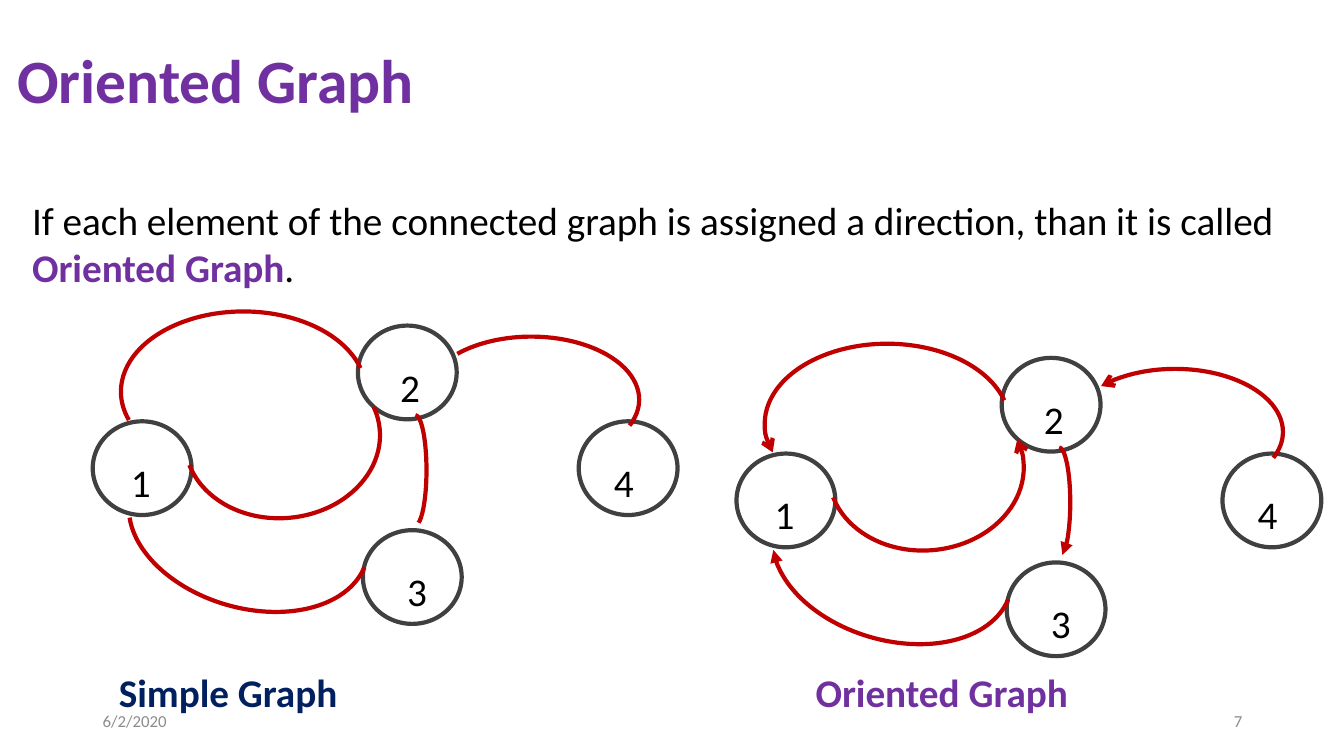
from pptx import Presentation
from pptx.dml.color import RGBColor
from pptx.enum.shapes import MSO_SHAPE
from pptx.enum.text import MSO_ANCHOR, PP_ALIGN
from pptx.oxml.ns import qn
from pptx.util import Inches, Pt
from lxml.etree import SubElement

THEME = {
    "font": "Calibri",
    "black": "000000", "purple": "7030A0", "navy": "002060",
    "gray": "8C8C8C", "ring": "404040", "edge": "C00000",
    "title": 44, "body": 28, "footer": 12, "line": 3,
}

prs = Presentation()
prs.slide_width, prs.slide_height = Inches(13.33), Inches(7.5)
s = prs.slides.add_slide(prs.slide_layouts[6])


def box(x, y, w, h):
    col, row = prs.slide_width / 100, prs.slide_height / 100
    return int(x * col), int(y * row), int(w * col), int(h * row)


def add_text(place, runs, size, anchor=MSO_ANCHOR.TOP, align=PP_ALIGN.LEFT, spacing=1.0):
    tf = s.shapes.add_textbox(*box(*place)).text_frame
    tf.word_wrap = True
    tf.vertical_anchor = anchor
    p = tf.paragraphs[0]
    p.alignment = align
    p.line_spacing = spacing
    for text, color, bold in runs:
        r = p.add_run()
        r.text = text
        r.font.name = THEME["font"]
        r.font.size = Pt(THEME[size])
        r.font.bold = bold
        r.font.color.rgb = RGBColor.from_string(THEME[color])


add_text((0.53, 1.33, 86.27, 19.33), [("Oriented Graph", "purple", True)],
         "title", MSO_ANCHOR.MIDDLE, spacing=0.9)
add_text((1.65, 25.33, 96.62, 13.87), [
    ("If each element of the connected graph is assigned a direction, than it is called ", "black", False),
    ("Oriented Graph", "purple", True),
    (".", "black", False),
], "body")

NODE_W, NODE_H = 7.35, 12.4
NODES = [
    ("1", 6.9, 55.73, 2.1, 2.7),
    ("4", 43.06, 55.73, 1.88, 3.53),
    ("3", 27, 70.13, 2.55, 2.18),
    ("2", 26.63, 43.07, 2.4, 2.78),
]
EDGES = [
    ((9, 41.2, 18.23, 21.2), 0, (99.62, 209.19), "headEnd", "arrow"),
    ((13.73, 47.33, 14.55, 21.2), 175.1, (99.62, 209.19), "headEnd", "arrow"),
    ((9.38, 59.2, 18.23, 21.2), 196.2, (109.58, 209.19), "tailEnd", "triangle"),
    ((30.08, 54.93, 1.65, 14.53), 0, (162, 51.89), "tailEnd", "triangle"),
    ((31.51, 44.53, 16.05, 16.67), 0, (127.06, 8.87), "headEnd", "arrow"),
]
GRAPHS = [
    (0, 0, False, "Simple Graph", "navy", 8.1),
    (47.9, 4.27, True, "Oriented Graph", "purple", 59.94),
]

for dx, dy, oriented, caption, color, caption_x in GRAPHS:
    for label, x, y, inset, width in NODES:
        sp = s.shapes.add_shape(MSO_SHAPE.OVAL, *box(x + dx, y + dy, NODE_W, NODE_H))
        sp.shadow.inherit = False
        sp.fill.background()
        sp.line.color.rgb = RGBColor.from_string(THEME["ring"])
        sp.line.width = Pt(THEME["line"])
        add_text((x + dx + inset, y + dy + 4.27, width, 7.6), [(label, "black", False)], "body")

    for (x, y, w, h), rotation, angles, end, arrowhead in EDGES:
        sp = s.shapes.add_shape(MSO_SHAPE.ARC, *box(x + dx, y + dy, w, h))
        sp.rotation = rotation
        sp.adjustments[0], sp.adjustments[1] = angles
        sp.shadow.inherit = False
        sp.fill.background()
        sp.line.color.rgb = RGBColor.from_string(THEME["edge"])
        sp.line.width = Pt(THEME["line"])
        if oriented:
            SubElement(sp._element.spPr.find(qn("a:ln")), qn(f"a:{end}"), type=arrowhead)

    add_text((caption_x, 87.73, 30, 7.6), [(caption, color, True)], "body")

for x, text, align in [(6.9, "6/2/2020", PP_ALIGN.LEFT), (70.67, "7", PP_ALIGN.RIGHT)]:
    add_text((x, 92.67, 22.5, 5.33), [(text, "gray", False)], "footer", MSO_ANCHOR.MIDDLE, align)

prs.save("out.pptx")
